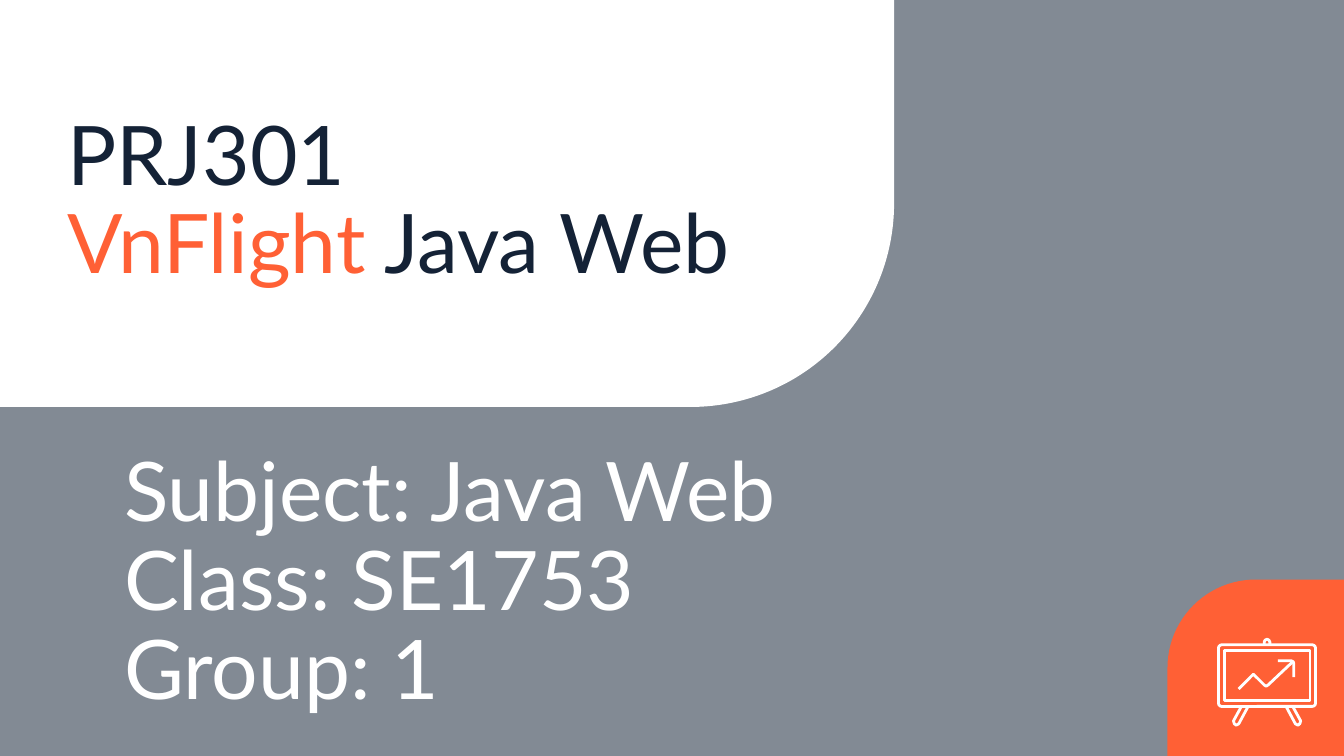
from dataclasses import dataclass

from lxml.etree import SubElement
from pptx import Presentation
from pptx.dml.color import RGBColor
from pptx.enum.shapes import MSO_SHAPE
from pptx.enum.text import MSO_ANCHOR
from pptx.oxml.ns import qn
from pptx.util import Pt


@dataclass(frozen=True)
class Theme:
    navy: RGBColor = RGBColor(0x14, 0x22, 0x36)
    orange: RGBColor = RGBColor(0xFF, 0x60, 0x35)
    white: RGBColor = RGBColor(0xFF, 0xFF, 0xFF)
    font: str = "Lato"
    size: float = 44
    line: float = 1.5


THEME = Theme()


def add_panel(s, kind, box, color):
    sp = s.shapes.add_shape(kind, *map(Pt, box))
    sp.shadow.inherit = False
    sp.fill.solid()
    sp.fill.fore_color.rgb = color
    sp.line.fill.background()
    return sp


def add_corner_panel(s, box, color, rotation=0):
    """A panel with one large round corner: top left, or bottom right at 180."""
    sp = add_panel(s, MSO_SHAPE.ROUND_1_RECTANGLE, box, color)
    sp.adjustments[0] = 0.5
    sp.rotation = rotation
    sp._element.spPr.xfrm.set("flipH", "1")


def add_backdrop(s, box):
    """A navy panel that lets the white page show through."""
    sp = add_panel(s, MSO_SHAPE.RECTANGLE, box, THEME.navy)
    color = sp._element.spPr.find(qn("a:solidFill"))[0]
    SubElement(color, qn("a:alpha")).set("val", "53000")


def add_text(s, box, paragraphs):
    """Each paragraph is a list of (text, colour) runs; \\n breaks the line."""
    tf = s.shapes.add_textbox(*map(Pt, box)).text_frame
    tf.word_wrap = True
    tf.vertical_anchor = MSO_ANCHOR.MIDDLE
    tf.margin_left = tf.margin_right = tf.margin_top = tf.margin_bottom = 0
    for i, runs in enumerate(paragraphs):
        p = tf.add_paragraph() if i else tf.paragraphs[0]
        p.line_spacing = 0.9
        p.font.name, p.font.size = THEME.font, Pt(THEME.size)
        for text, color in runs:
            r = p.add_run()
            r.text = text.rstrip("\n")
            r.font.name, r.font.size = THEME.font, Pt(THEME.size)
            r.font.color.rgb = color
            if text.endswith("\n"):
                p.add_line_break()


def outline(sp):
    sp.shadow.inherit = False
    sp.fill.background()
    sp.line.color.rgb = THEME.white
    sp.line.width = Pt(THEME.line)


def add_board_icon(s, box):
    """A presentation board on two legs with a rising arrow."""
    left, top, width, height = box
    frame_top, frame_height = 3, 33

    frame = s.shapes.add_shape(MSO_SHAPE.ROUNDED_RECTANGLE, Pt(left), Pt(top + frame_top),
                               Pt(width), Pt(frame_height))
    frame.adjustments[0] = 0.05
    outline(frame)
    outline(s.shapes.add_shape(MSO_SHAPE.RECTANGLE, Pt(left + 3), Pt(top + frame_top + 3),
                               Pt(width - 6), Pt(frame_height - 6)))

    base = frame_top + frame_height
    leg = [(12.2, base), (8, height - 2.3), (8.4, height - 0.8), (9.4, height),
           (10.8, height - 0.7), (15.8, base)]
    strokes = [
        [(24.5, 3), (24.5, 1.4), (25, 0.4), (26, 0), (27, 0.4), (27.5, 1.4), (27.5, 3)],
        leg,
        [(width - x, y) for x, y in leg],
        [(39.6, 12.2), (26.6, 24.5), (25.5, 25.2), (24.5, 24.5), (18.7, 18.7), (10.8, 26.6)],
        [(31.7, 11.5), (38.9, 11.5), (40, 12), (40.3, 13), (40.3, 20.2)],
    ]
    for stroke in strokes:
        points = [(Pt(left + x), Pt(top + y)) for x, y in stroke]
        builder = s.shapes.build_freeform(*points[0])
        builder.add_line_segments(points[1:], close=False)
        outline(builder.convert_to_shape())


def add_icon_tile(s, box):
    left, top, _, _ = box
    add_corner_panel(s, box, THEME.orange)
    add_board_icon(s, (left + 27.3, top + 32, 52, 46))


def add_title_panel(s, box):
    left, top, _, _ = box
    add_corner_panel(s, box, THEME.white, rotation=180)
    add_text(s, (left + 36, top + 36, 420.5, 145.5), [
        [("PRJ301 \n", THEME.navy), ("VnFlight", THEME.orange), (" Java Web", THEME.navy)],
    ])


def add_details(s, box):
    lines = ["Subject: Java Web", "Class: SE1753", "Group: 1"]
    add_text(s, box, [[(line, THEME.white)] for line in lines])


def main():
    width, height, tile = 720, 405, 94.5
    prs = Presentation()
    prs.slide_width, prs.slide_height = Pt(width), Pt(height)
    s = prs.slides.add_slide(prs.slide_layouts[6])
    add_backdrop(s, (0, 0, width, height))
    add_title_panel(s, (0, 0, 479, 218))
    add_icon_tile(s, (width - tile, height - tile, tile, tile))
    add_details(s, (66.5, 240, 607.5, 145.5))
    prs.save("out.pptx")


if __name__ == "__main__":
    main()
